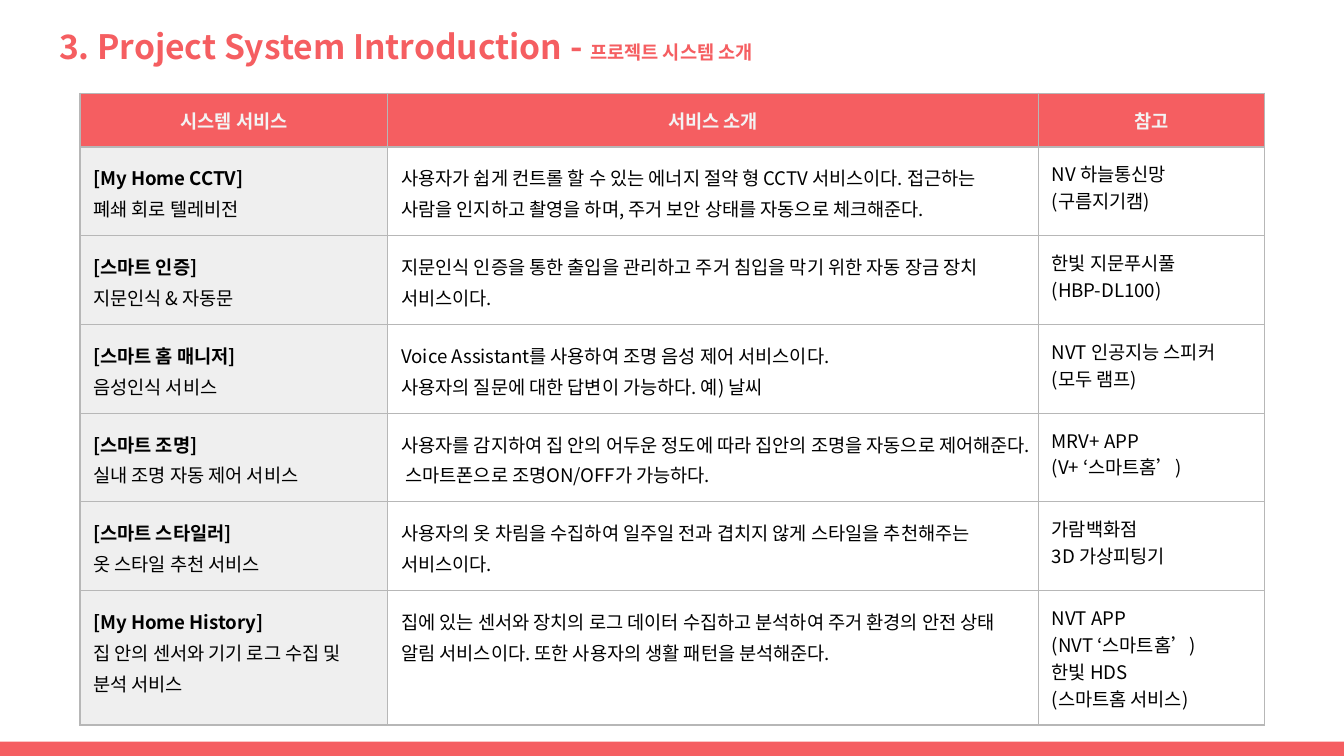
from typing import NamedTuple

from lxml.etree import SubElement
from pptx import Presentation
from pptx.dml.color import RGBColor
from pptx.enum.shapes import MSO_SHAPE
from pptx.enum.text import MSO_ANCHOR, MSO_AUTO_SIZE, PP_ALIGN
from pptx.oxml.ns import qn
from pptx.util import Pt

FONT = "Noto Sans CJK KR"
CORAL, PALE, GRAY, LIGHT = "F55E61", "EFEFEF", "B7B7B7", "F3F3F3"
BLACK, WHITE = "000000", "FFFFFF"
INSET = Pt(7.2)
COLUMN_WIDTHS = (165, 348.5, 121)
HEADER_HEIGHT = 28.5
HEADINGS = ("시스템 서비스", "서비스 소개", "참고")


class Service(NamedTuple):
    name: str
    summary: str
    details: tuple[str, ...]
    references: tuple[str, ...]
    height: float = 47.4


SERVICES = (
    Service("[My Home CCTV]", "폐쇄 회로 텔레비전",
            ("사용자가 쉽게 컨트롤 할 수 있는 에너지 절약 형 CCTV 서비스이다. "
             "접근하는 사람을 인지하고 촬영을 하며, 주거 보안 상태를 자동으로 체크해준다.",),
            ("NV 하늘통신망", "(구름지기캠)")),
    Service("[스마트 인증]", "지문인식 & 자동문",
            ("지문인식 인증을 통한 출입을 관리하고 주거 침입을 막기 위한 "
             "자동 장금 장치 서비스이다.",),
            ("한빛 지문푸시풀", "(HBP-DL100)")),
    Service("[스마트 홈 매니저]", "음성인식 서비스",
            ("Voice Assistant를 사용하여 조명 음성 제어 서비스이다.",
             "사용자의 질문에 대한 답변이 가능하다. 예) 날씨"),
            ("NVT 인공지능 스피커 (모두 램프)",)),
    Service("[스마트 조명]", "실내 조명 자동 제어 서비스",
            ("사용자를 감지하여 집 안의 어두운 정도에 따라 집안의 조명을 자동으로 "
             "제어해준다. 스마트폰으로 조명ON/OFF가 가능하다.",),
            ("MRV+ APP", "(V+ ‘스마트홈’)")),
    Service("[스마트 스타일러]", "옷 스타일 추천 서비스",
            ("사용자의 옷 차림을 수집하여 일주일 전과 겹치지 않게 스타일을 "
             "추천해주는 서비스이다.",),
            ("가람백화점", "3D 가상피팅기")),
    Service("[My Home History]", "집 안의 센서와 기기 로그 수집 및 분석 서비스",
            ("집에 있는 센서와 장치의 로그 데이터 수집하고 분석하여 주거 환경의 "
             "안전 상태 알림 서비스이다. 또한 사용자의 생활 패턴을 분석해준다.",),
            ("NVT APP", "(NVT ‘스마트홈’)", "한빛 HDS", "(스마트홈 서비스)"), 72),
)


def paint(fill, color: str) -> None:
    fill.solid()
    fill.fore_color.rgb = RGBColor.from_string(color)


def add_span(para, text: str, size: float, color: str, bold: bool) -> None:
    span = para.add_run()
    span.text = text
    span.font.size = Pt(size)
    span.font.bold = bold
    paint(span.font.fill, color)
    span.font.name = FONT
    SubElement(span.font._element, qn("a:ea"), typeface=FONT)


def set_insets(box) -> None:
    box.margin_left = box.margin_right = INSET
    box.margin_top = box.margin_bottom = INSET


def add_borders(cell) -> None:
    properties = cell._tc.get_or_add_tcPr()
    for side in ("lnL", "lnR", "lnT", "lnB"):
        line = SubElement(properties, qn(f"a:{side}"), w=str(Pt(0.75)))
        fill = SubElement(line, qn("a:solidFill"))
        SubElement(fill, qn("a:srgbClr"), val=GRAY)


def fill_cell(cell, lines: tuple[str, ...], fill: str = WHITE, color: str = BLACK,
              bold_lines: int = 0, spacing: float = 1.0,
              align: PP_ALIGN = PP_ALIGN.LEFT,
              anchor: MSO_ANCHOR = MSO_ANCHOR.TOP) -> None:
    add_borders(cell)
    paint(cell.fill, fill)
    set_insets(cell)
    cell.vertical_anchor = anchor
    for index, line in enumerate(lines):
        para = cell.text_frame.add_paragraph() if index else cell.text_frame.paragraphs[0]
        para.alignment = align
        para.line_spacing = spacing
        add_span(para, line, 10, color, index < bold_lines)


def add_title(page) -> None:
    title = page.shapes.title
    title.left, title.top, title.width, title.height = Pt(24.5), Pt(6.5), Pt(671), Pt(43)
    frame = title.text_frame
    set_insets(frame)
    frame.word_wrap = True
    frame.auto_size = MSO_AUTO_SIZE.NONE
    frame.vertical_anchor = MSO_ANCHOR.TOP
    para = frame.paragraphs[0]
    para.alignment = PP_ALIGN.LEFT
    add_span(para, "3. Project System Introduction - ", 18, CORAL, True)
    add_span(para, "프로젝트 시스템 소개", 10, CORAL, True)


def add_footer_band(page) -> None:
    band = page.shapes.add_shape(MSO_SHAPE.RECTANGLE, 0, Pt(397.4), Pt(720), Pt(7.6))
    band.shadow.inherit = False
    paint(band.fill, CORAL)
    band.line.fill.background()


def add_service_table(page) -> None:
    heights = [HEADER_HEIGHT, *(service.height for service in SERVICES)]
    table = page.shapes.add_table(
        len(heights), len(COLUMN_WIDTHS), Pt(42.8), Pt(49.9),
        Pt(sum(COLUMN_WIDTHS)), Pt(sum(heights))).table
    table.first_row = table.horz_banding = False
    for column, width in zip(table.columns, COLUMN_WIDTHS):
        column.width = Pt(width)
    for row, height in zip(table.rows, heights):
        row.height = Pt(height)
    for column, heading in enumerate(HEADINGS):
        fill_cell(table.cell(0, column), (heading,), CORAL, LIGHT, bold_lines=1,
                  align=PP_ALIGN.CENTER, anchor=MSO_ANCHOR.MIDDLE)
    for row, service in enumerate(SERVICES, start=1):
        fill_cell(table.cell(row, 0), (service.name, service.summary), PALE,
                  bold_lines=1, spacing=1.15)
        fill_cell(table.cell(row, 1), service.details, spacing=1.15)
        fill_cell(table.cell(row, 2), service.references)


def main() -> None:
    deck = Presentation()
    deck.slide_width, deck.slide_height = Pt(720), Pt(405)
    page = deck.slides.add_slide(deck.slide_layouts[5])
    paint(page.background.fill, WHITE)
    add_footer_band(page)
    add_title(page)
    add_service_table(page)
    deck.save("out.pptx")


if __name__ == "__main__":
    main()
